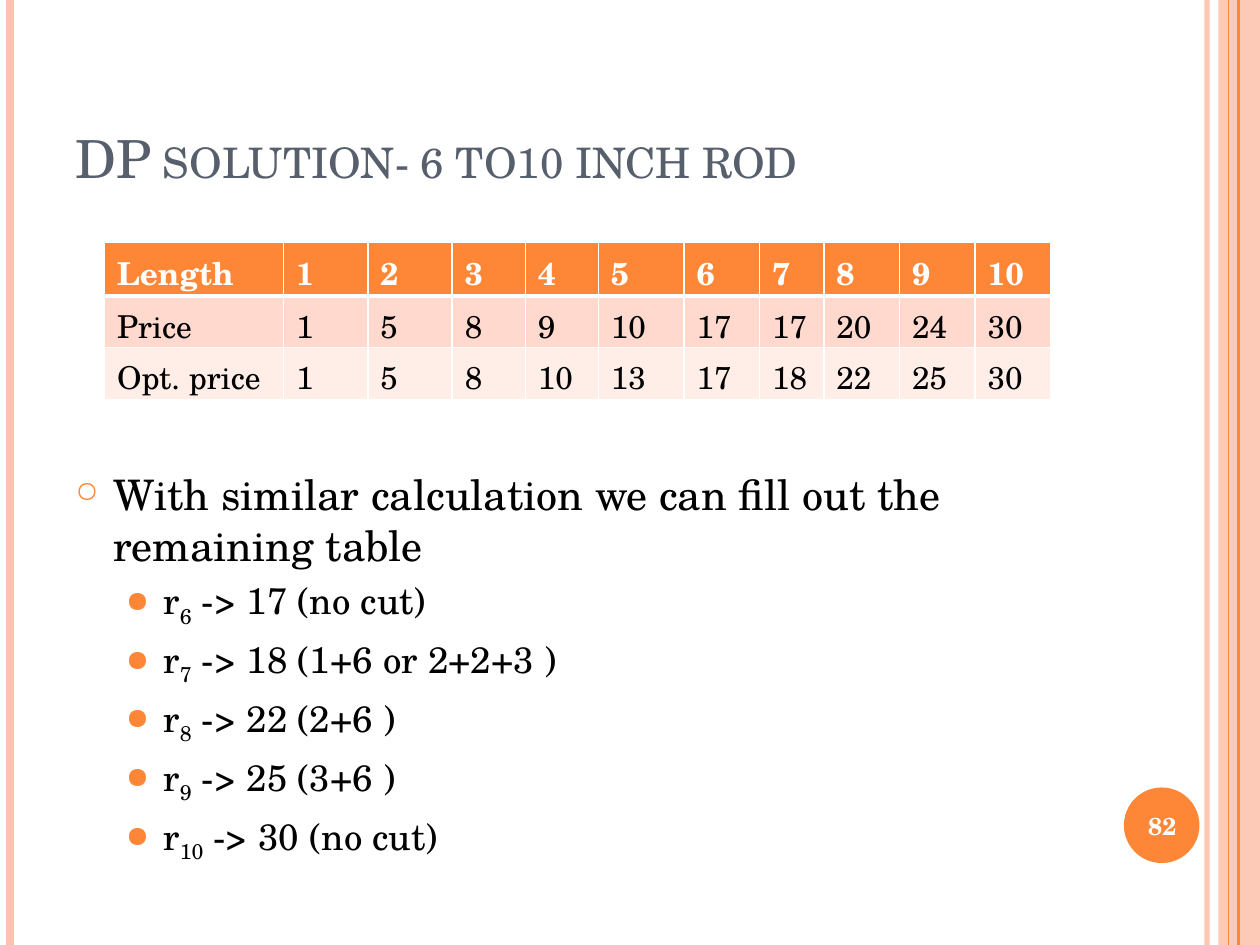
from lxml import etree
from pptx import Presentation
from pptx.dml.color import RGBColor
from pptx.enum.shapes import MSO_CONNECTOR, MSO_SHAPE
from pptx.enum.text import MSO_ANCHOR, PP_ALIGN
from pptx.oxml.ns import qn
from pptx.util import Inches, Pt

STRAIGHT = MSO_CONNECTOR.STRAIGHT
RECT, OVAL = MSO_SHAPE.RECTANGLE, MSO_SHAPE.OVAL
BOTTOM, MIDDLE = MSO_ANCHOR.BOTTOM, MSO_ANCHOR.MIDDLE
CENTER = PP_ALIGN.CENTER

FONT = "TeX Gyre Schola"
ORANGE = RGBColor(0xFE, 0x86, 0x37)
PEACH = RGBColor(0xFE, 0xC3, 0xAE)
SLATE = RGBColor(0x57, 0x5F, 0x6D)
PALE = RGBColor(0xFF, 0xD9, 0xCE)
PALER = RGBColor(0xFF, 0xED, 0xE8)
WHITE = RGBColor(0xFF, 0xFF, 0xFF)
BLACK = RGBColor(0, 0, 0)


def add(parent, tag, **attrs):
    return etree.SubElement(parent, qn(tag), attrs)


def style(font, size, color, bold=False):
    font.name, font.size, font.bold = FONT, Pt(size), bold
    font.color.rgb = color


prs = Presentation()
prs.slide_width, prs.slide_height = Inches(10), Inches(7.5)
slide = prs.slides.add_slide(prs.slide_layouts[6])
shapes = slide.shapes

# Side stripes and band
band = shapes.add_shape(RECT, Inches(9.67), 0, Inches(0.33), Inches(7.5))
band.shadow.inherit = False
band.fill.solid()
band.fill.fore_color.rgb = PEACH
band.line.fill.background()
tint = band._element.spPr.find(qn("a:solidFill"))[0]
add(tint, "a:alpha", val="87000")

for x, width, color, alpha in [
    (9.58, 3, PEACH, 93), (0.08, 4.5, PEACH, 100),
    (9.83, 1.5, ORANGE, 100), (9.75, 0.75, ORANGE, 100),
]:
    stripe = shapes.add_connector(STRAIGHT, Inches(x), 0, Inches(x), Inches(7.5))
    stripe.line.width = Pt(width)
    stripe.line.color.rgb = color
    if alpha < 100:
        tint = stripe.line._ln.find(qn("a:solidFill"))[0]
        add(tint, "a:alpha", val=str(alpha * 1000))
    add(stripe._element.spPr, "a:effectLst")

# Title
title = shapes.add_textbox(Inches(0.5), Inches(0.3), Inches(8.17), Inches(1.25))
frame = title.text_frame
frame.word_wrap = True
frame.vertical_anchor = BOTTOM
frame.text = "DP solution- 6 to10 inch rod"
run = frame.paragraphs[0].runs[0]
style(run.font, 30, SLATE)
run._r.get_or_add_rPr().set("cap", "small")

# Price table
rows = [
    ["Length", *range(1, 11)],
    ["Price", 1, 5, 8, 9, 10, 17, 17, 20, 24, 30],
    ["Opt. price", 1, 5, 8, 10, 13, 17, 18, 22, 25, 30],
]
widths = [1.42, 0.67, 0.67, 0.58, 0.58, 0.68, 0.6, 0.51, 0.6, 0.6, 0.6]
table = shapes.add_table(
    len(rows), len(widths), Inches(0.83), Inches(1.92), Inches(7.5), Inches(1.24)
).table
for col, width in zip(table.columns, widths):
    col.width = Inches(width)
for r, (row, fill, high) in enumerate(zip(rows, [ORANGE, PALE, PALER], [0.43, 0.41, 0.41])):
    table.rows[r].height = Inches(high)
    head = r == 0
    for c, value in enumerate(row):
        cell = table.cell(r, c)
        cell.text = str(value)
        style(cell.text_frame.paragraphs[0].runs[0].font, 18, WHITE if head else BLACK, head)
        props = cell._tc.get_or_add_tcPr()
        for side in "LRTB":
            thick = (head and side == "B") or (r == 1 and side == "T")
            edge = add(props, f"a:ln{side}", w=str(Pt(3 if thick else 1)))
            add(add(edge, "a:solidFill"), "a:srgbClr", val=str(WHITE))
        cell.fill.solid()
        cell.fill.fore_color.rgb = fill

# Bullets: plain text, or the subscript and rest of an r-term
points = [
    ("With similar calculation we can fill out the remaining table",),
    ("r", "6", " -> 17 (no cut)"),
    ("r", "7", " -> 18 (1+6 or 2+2+3 )"),
    ("r", "8", " -> 22 (2+6 )"),
    ("r", "9", " -> 25 (3+6 )"),
    ("r", "10", " -> 30 (no cut)"),
]
body = shapes.add_textbox(Inches(0.5), Inches(3.67), Inches(8.17), Inches(3.41))
frame = body.text_frame
frame.word_wrap = True
for i, parts in enumerate(points):
    para = frame.add_paragraph() if i else frame.paragraphs[0]
    props = para._p.get_or_add_pPr()
    props.set("marL", str(Inches(0.7 if i else 0.3)))
    props.set("indent", str(Inches(-0.3)))
    add(add(props, "a:buClr"), "a:srgbClr", val=str(ORANGE))
    add(props, "a:buSzPct", val="80000" if i else "70000")
    add(props, "a:buChar", char="●" if i else "○")
    if i:
        para.level = 1
        para.space_before = Pt(5)
    for k, part in enumerate(parts):
        run = para.add_run()
        run.text = part
        style(run.font, 21 if i else 24, BLACK)
        if k == 1:
            run._r.get_or_add_rPr().set("baseline", "-25000")

# Page number
disc = shapes.add_shape(OVAL, Inches(8.92), Inches(6.25), Inches(0.6), Inches(0.6))
disc.shadow.inherit = False
disc.fill.solid()
disc.fill.fore_color.rgb = ORANGE
disc.line.fill.background()
page = shapes.add_textbox(Inches(8.89), Inches(6.27), Inches(0.67), Inches(0.57))
frame = page.text_frame
frame.word_wrap = True
frame.vertical_anchor = MIDDLE
frame.text = "82"
para = frame.paragraphs[0]
para.alignment = CENTER
style(para.runs[0].font, 14, WHITE, True)

prs.save("out.pptx")
